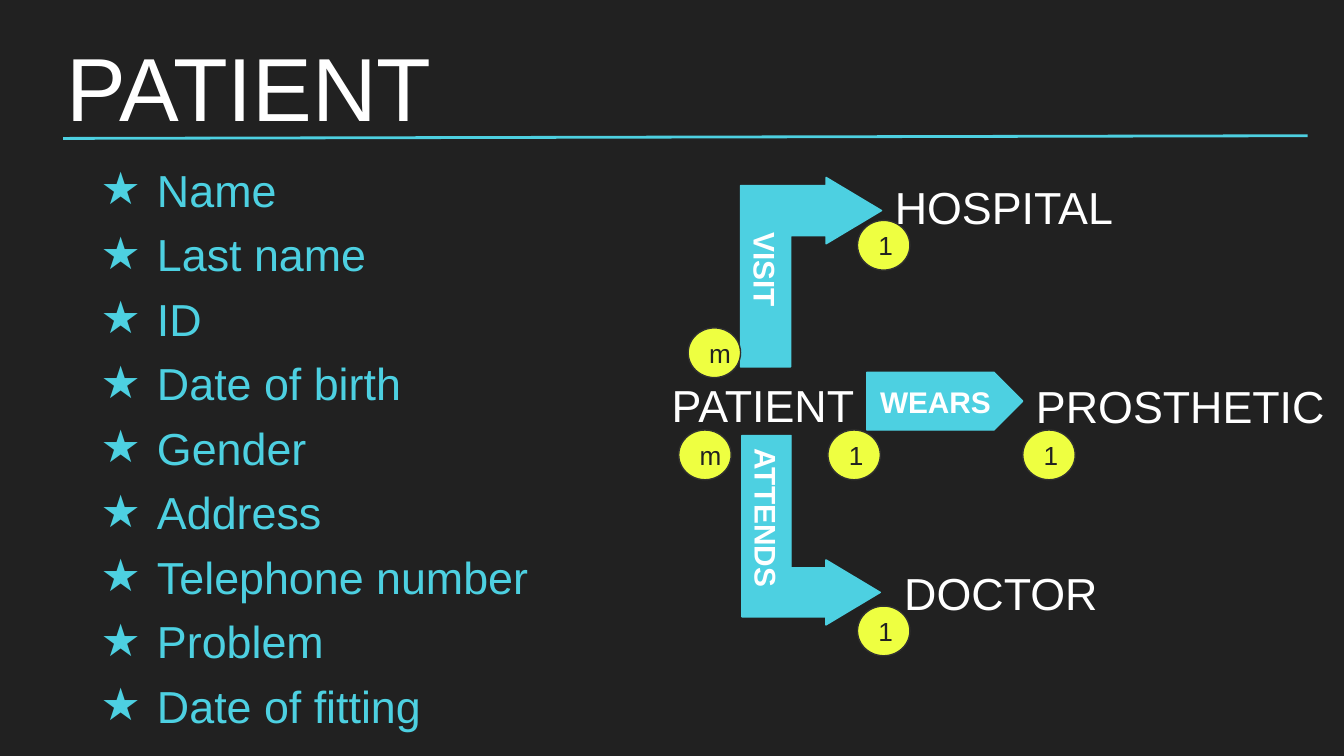
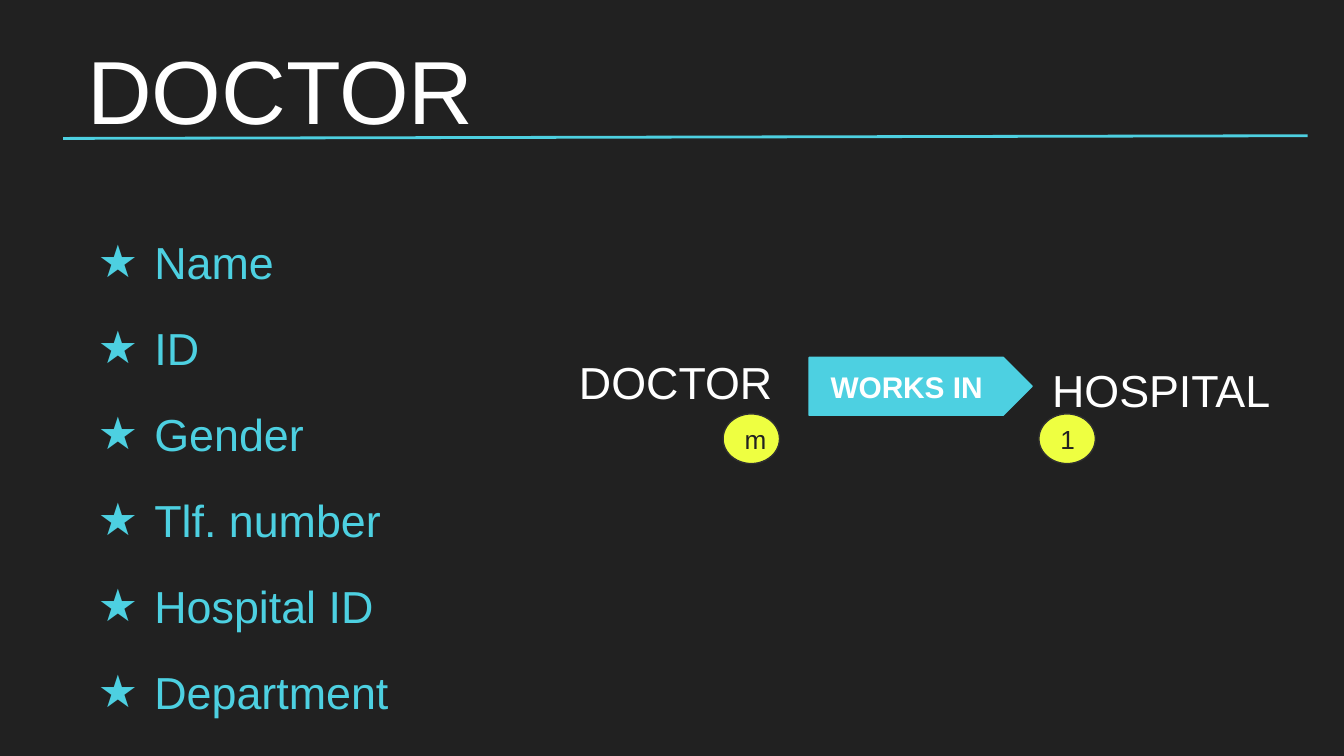
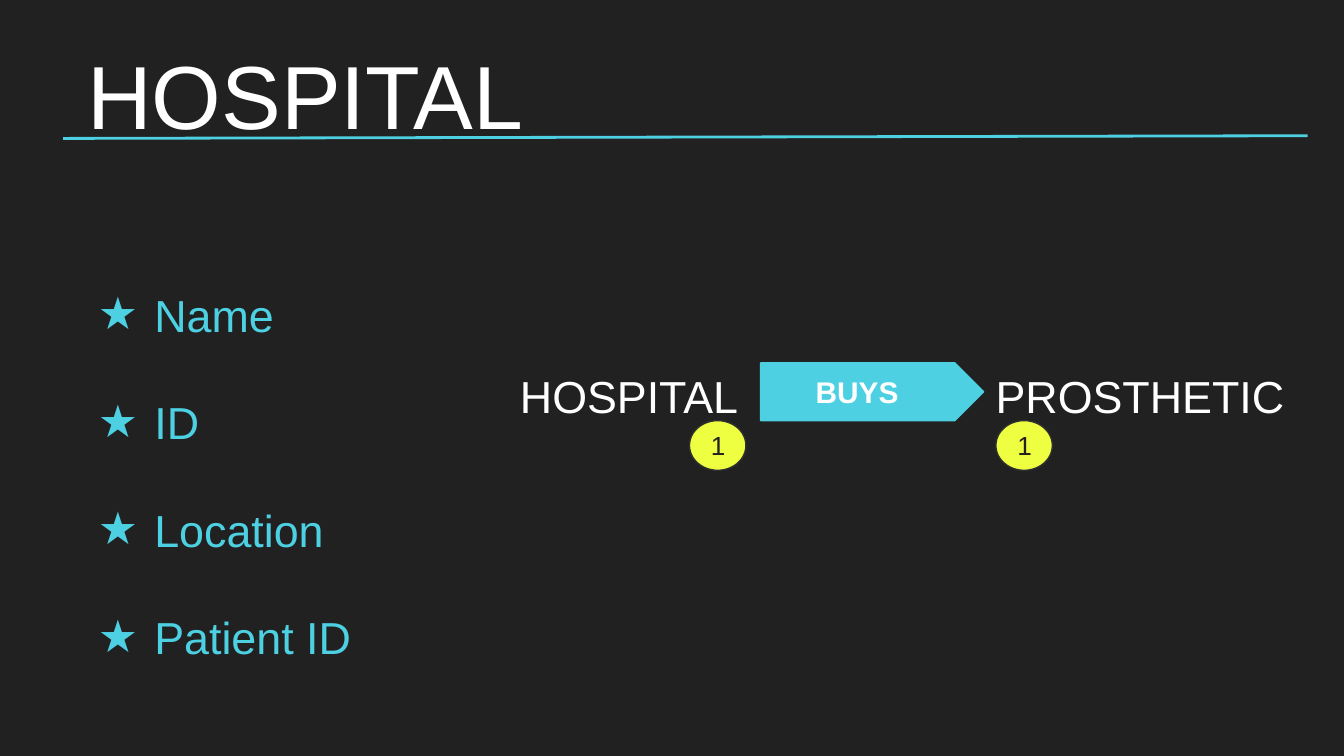
from dataclasses import dataclass

from lxml.etree import SubElement
from pptx import Presentation
from pptx.dml.color import RGBColor
from pptx.enum.shapes import MSO_CONNECTOR, MSO_SHAPE
from pptx.enum.text import MSO_ANCHOR, PP_ALIGN
from pptx.oxml.ns import qn
from pptx.util import Inches, Pt


@dataclass(frozen=True)
class Theme:
    font: str = "Arial"
    background: RGBColor = RGBColor(0x21, 0x21, 0x21)
    accent: RGBColor = RGBColor(0x4D, 0xD0, 0xE1)
    marker: RGBColor = RGBColor(0xEE, 0xFF, 0x41)
    marker_outline: RGBColor = RGBColor(0x30, 0x30, 0x30)
    light: RGBColor = RGBColor(0xFF, 0xFF, 0xFF)
    title_size: int = 48
    body_size: int = 24
    relation_size: int = 16
    marker_size: int = 14


THEME = Theme()
INSET = 0.1
MARKER_HEIGHT = 0.37
RELATION_HEIGHT = 0.43


def style_paragraph(paragraph, size, color, bold=False):
    paragraph.alignment = PP_ALIGN.LEFT
    paragraph.font.name = THEME.font
    paragraph.font.size = Pt(size)
    paragraph.font.color.rgb = color
    paragraph.font.bold = bold


def prepare_frame(shape, anchor, left_inset=INSET):
    frame = shape.text_frame
    frame.word_wrap = True
    frame.vertical_anchor = anchor
    frame.margin_left = Inches(left_inset)
    frame.margin_top = frame.margin_right = frame.margin_bottom = Inches(INSET)
    return frame


def add_text(slide, text, left, top, width, height=0.55,
             size=THEME.body_size):
    box = slide.shapes.add_textbox(
        Inches(left), Inches(top), Inches(width), Inches(height))
    paragraph = prepare_frame(box, MSO_ANCHOR.TOP).paragraphs[0]
    paragraph.text = text
    style_paragraph(paragraph, size, THEME.light)


def add_star_bullet(paragraph):
    properties = paragraph._p.get_or_add_pPr()
    properties.set("marL", str(Inches(0.5)))
    properties.set("indent", str(Inches(-0.42)))
    color = SubElement(properties, qn("a:buClr"))
    SubElement(color, qn("a:srgbClr"), val=str(THEME.accent))
    SubElement(properties, qn("a:buSzPct"), val="100000")
    SubElement(properties, qn("a:buFont"), typeface=THEME.font)
    SubElement(properties, qn("a:buChar"), char="★")


def add_attributes(slide, names, left, top, width, height, line_spacing):
    """List an entity's attributes with star bullets."""
    box = slide.shapes.add_textbox(
        Inches(left), Inches(top), Inches(width), Inches(height))
    frame = prepare_frame(box, MSO_ANCHOR.TOP)
    for index, name in enumerate(names):
        paragraph = frame.add_paragraph() if index else frame.paragraphs[0]
        paragraph.text = name
        add_star_bullet(paragraph)
        paragraph.line_spacing = line_spacing
        style_paragraph(paragraph, THEME.body_size, THEME.accent)


def add_filled_shape(slide, kind, text, left, top, width, height, fill,
                     outline, size, color, bold=False, indent=0):
    shape = slide.shapes.add_shape(
        kind, Inches(left), Inches(top), Inches(width), Inches(height))
    shape.shadow.inherit = False
    shape.fill.solid()
    shape.fill.fore_color.rgb = fill
    shape.line.color.rgb = outline
    shape.line.width = Pt(0.75)
    frame = prepare_frame(shape, MSO_ANCHOR.MIDDLE, INSET + indent)
    paragraph = frame.paragraphs[0]
    paragraph.text = text
    style_paragraph(paragraph, size, color, bold)
    return shape


def add_relation(slide, text, left, top, width, height=RELATION_HEIGHT,
                 kind=MSO_SHAPE.PENTAGON, indent=0):
    return add_filled_shape(
        slide, kind, text, left, top, width, height, THEME.accent,
        THEME.accent, THEME.relation_size, THEME.light, True, indent)


def add_bent_relation(slide, text, top, height, flipped=False, indent=0):
    """Add an arrow that leaves vertically and turns to the right."""
    arrow = add_relation(slide, text, 5.33, top, 1.41, height,
                         MSO_SHAPE.BENT_UP_ARROW, indent)
    for index, value in enumerate((0.355, 0.235, 0.393)):
        arrow.adjustments[index] = value
    arrow.rotation = 90
    if flipped:
        arrow.element.spPr.xfrm.set("flipH", "1")


def add_cardinality(slide, text, left, top, width=0.42):
    add_filled_shape(
        slide, MSO_SHAPE.OVAL, text, left, top, width, MARKER_HEIGHT,
        THEME.marker, THEME.marker_outline, THEME.marker_size,
        THEME.background)


def add_title_rule(slide):
    rule = slide.shapes.add_connector(
        MSO_CONNECTOR.STRAIGHT,
        Inches(0.47), Inches(1.03), Inches(9.73), Inches(1.01))
    rule.line.color.rgb = THEME.accent
    rule.line.width = Pt(1.5)
    SubElement(rule.element.spPr, qn("a:effectLst"))


def add_entity_slide(presentation, title, left, top):
    slide = presentation.slides.add_slide(presentation.slide_layouts[6])
    slide.background.fill.solid()
    slide.background.fill.fore_color.rgb = THEME.background
    add_text(slide, title, left, top, 5.3, 1.17, THEME.title_size)
    add_title_rule(slide)
    return slide


def build_patient(presentation):
    slide = add_entity_slide(presentation, "PATIENT", 0.4, 0.14)
    add_attributes(
        slide,
        ["Name", "Last name", "ID", "Date of birth", "Gender", "Address",
         "Telephone number", "Problem", "Date of fitting"],
        0.57, 1.03, 3.6, 4.48, 1.2)
    add_text(slide, "PATIENT", 4.9, 2.71, 1.66)
    add_text(slide, "DOCTOR", 6.63, 4.11, 1.93)
    add_bent_relation(slide, "ATTENDS", 3.43, 1.03)
    add_text(slide, "HOSPITAL", 6.56, 1.24, 1.93)
    add_bent_relation(slide, "VISIT", 1.5, 1.05, flipped=True, indent=0.25)
    add_relation(slide, "WEARS", 6.45, 2.77, 1.16)
    add_text(slide, "PROSTHETIC", 7.61, 2.72, 2.45)
    for text, left, top in (
            ("1", 6.16, 3.2), ("m", 5.12, 2.44), ("m", 5.05, 3.2),
            ("1", 6.38, 4.51), ("1", 6.38, 1.64), ("1", 7.61, 3.2)):
        add_cardinality(slide, text, left, top, 0.39)


def build_doctor(presentation):
    slide = add_entity_slide(presentation, "DOCTOR", 0.55, 0.16)
    add_attributes(
        slide,
        ["Name", "ID", "Gender", "Tlf. number", "Hospital ID", "Department"],
        0.55, 1.41, 2.91, 3.76, 1.6)
    add_relation(slide, "WORKS IN", 6.02, 2.66, 1.66, indent=0.06)
    add_text(slide, "DOCTOR", 4.21, 2.54, 1.8)
    add_text(slide, "HOSPITAL", 7.73, 2.6, 2)
    add_cardinality(slide, "m", 5.38, 3.08)
    add_cardinality(slide, "1", 7.73, 3.08)


def build_hospital(presentation):
    slide = add_entity_slide(presentation, "HOSPITAL", 0.55, 0.2)
    add_attributes(slide, ["Name", "ID", "Location", "Patient ID"],
                   0.55, 1.64, 3.08, 3.33, 2.0)
    add_relation(slide, "BUYS", 5.66, 2.7, 1.66, indent=0.31)
    add_text(slide, "HOSPITAL", 3.77, 2.64, 2.02)
    add_text(slide, "PROSTHETIC", 7.31, 2.64, 2.37)
    add_cardinality(slide, "1", 5.13, 3.13)
    add_cardinality(slide, "1", 7.41, 3.13)


def main():
    presentation = Presentation()
    presentation.slide_width = Inches(10)
    presentation.slide_height = presentation.slide_width * 9 // 16
    build_patient(presentation)
    build_doctor(presentation)
    build_hospital(presentation)
    presentation.save("out.pptx")


if __name__ == "__main__":
    main()
